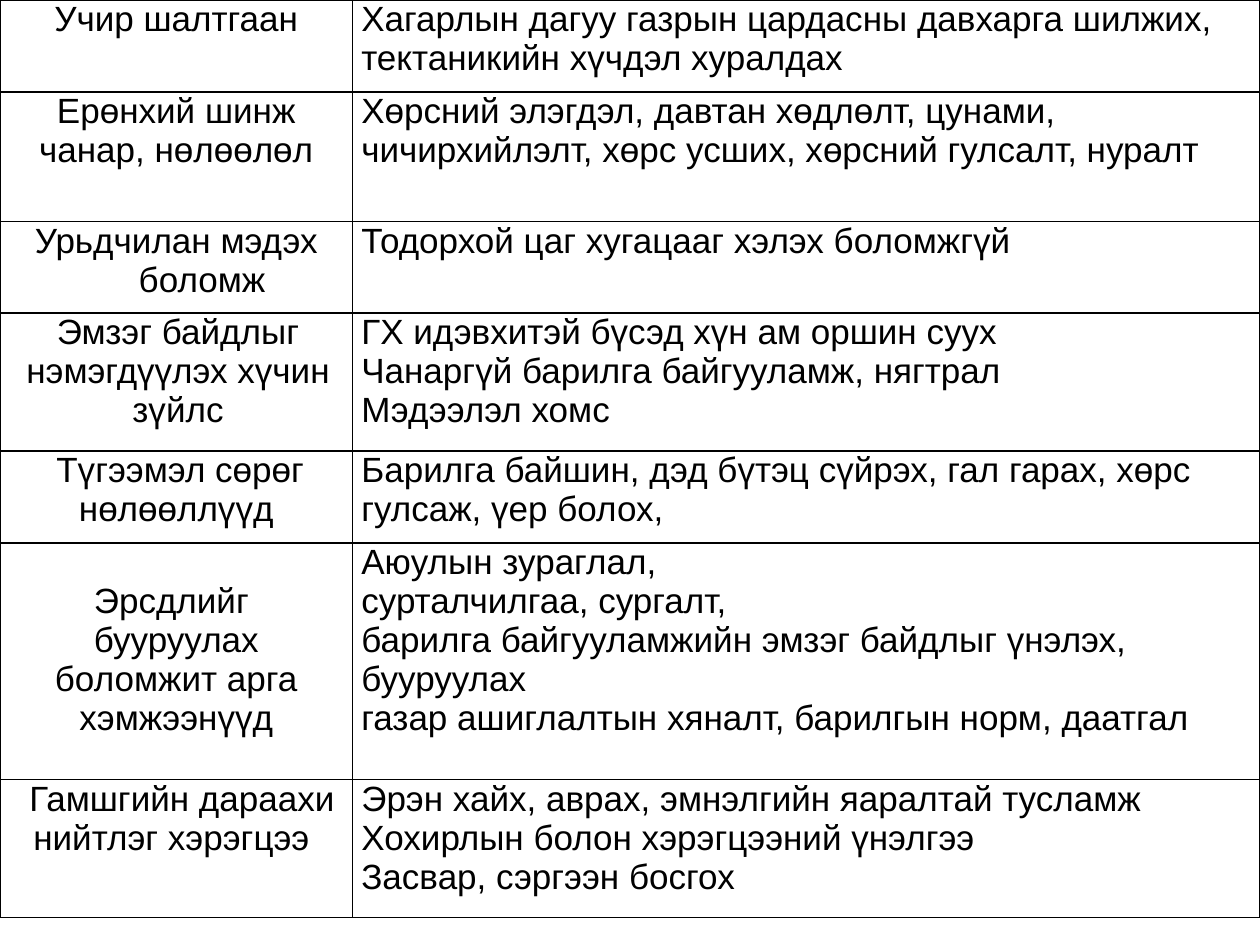
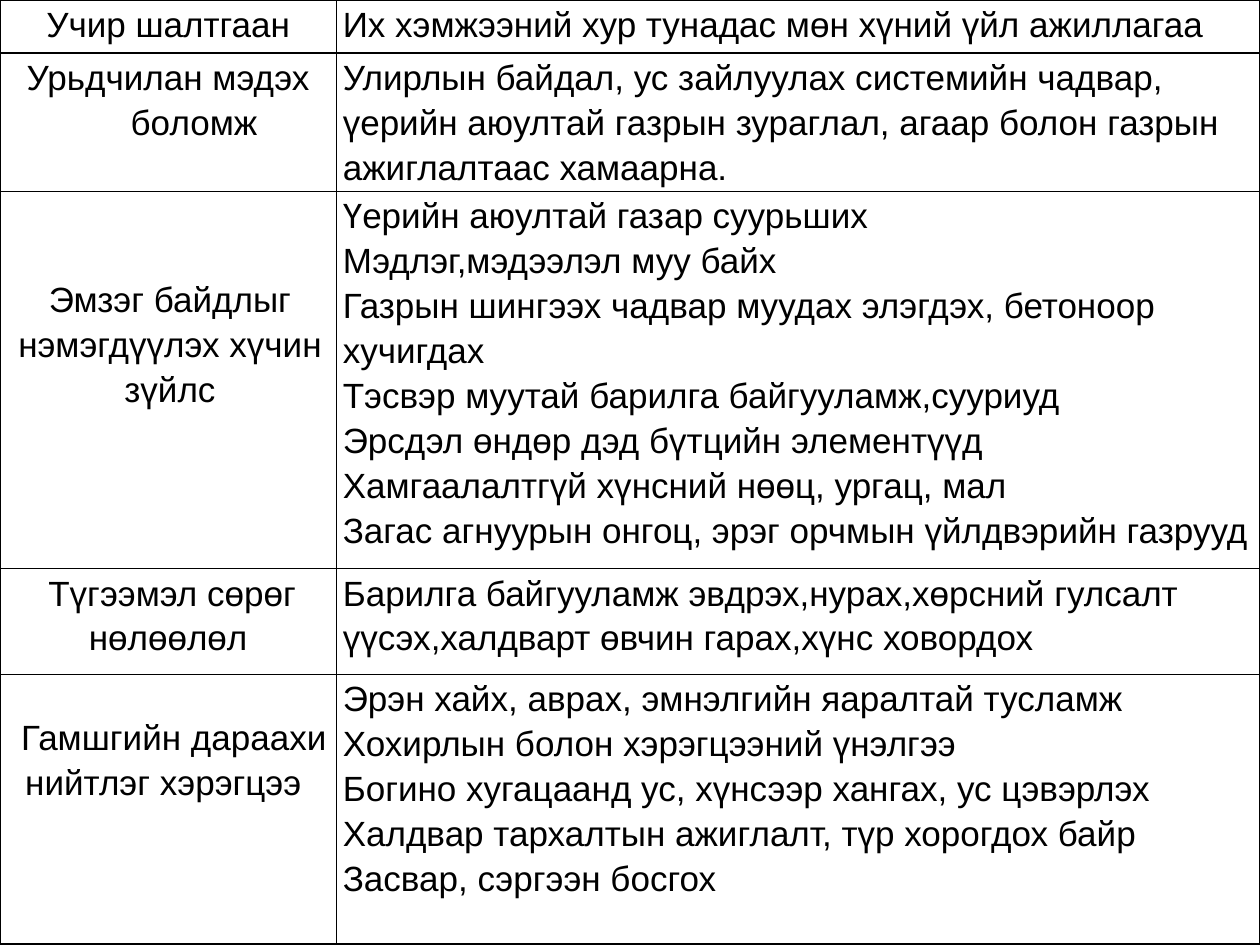
"""Two hazard overview tables: earthquake and flood."""
from dataclasses import dataclass

from lxml import etree
from pptx import Presentation
from pptx.dml.color import RGBColor
from pptx.enum.text import MSO_ANCHOR, PP_ALIGN
from pptx.oxml.ns import qn
from pptx.util import Pt

CENTER, LEFT = PP_ALIGN.CENTER, PP_ALIGN.LEFT
TOP = MSO_ANCHOR.TOP
SLIDE_WIDTH, SLIDE_HEIGHT = 720, 540
BLANK_LAYOUT = 6


@dataclass(frozen=True)
class Theme:
    """Shared colours and type."""
    ink: str = "000000"
    paper: str = "FFFFFF"
    font: str = "Arial"
    size: float = 20
    rule: float = 1


@dataclass(frozen=True)
class Indent:
    """Left margin and first-line offset of a paragraph, in points."""
    left: float = 0
    first: float = 0


@dataclass(frozen=True)
class Topic:
    """One table row: a centred label and its details."""
    height: float
    label: str
    details: tuple[str, ...]
    indent: Indent = Indent()
    label_drop: float = 0


@dataclass(frozen=True)
class Hazard:
    """One slide's table."""
    label_width: float
    side_margin: float
    line_spacing: float
    topics: tuple[Topic, ...]


THEME = Theme()
FLUSH = Indent()
HANGING = Indent(29.5, -36)
NUDGED = Indent(2, 0)
EFFECTS = Indent(0, 4.5)
NEEDS = Indent(0, 6.5)
OUTDENT = Indent(0, -2)

CAUSE = "Учир шалтгаан"
FORECAST = "Урьдчилан мэдэх боломж"
VULNERABILITY = "Эмзэг байдлыг нэмэгдүүлэх хүчин зүйлс"
AFTERMATH = "Гамшгийн дараахи нийтлэг хэрэгцээ "
RESCUE = "Эрэн хайх, аврах, эмнэлгийн яаралтай тусламж"
ASSESSMENT = "Хохирлын болон хэрэгцээний үнэлгээ"
RECOVERY = "Засвар, сэргээн босгох"

EARTHQUAKE = Hazard(201.5, 5, 1, (
    Topic(52.5, CAUSE, (
        "Хагарлын дагуу газрын цардасны давхарга шилжих, тектаникийн хүчдэл хуралдах",)),
    Topic(74, "Ерөнхий шинж чанар, нөлөөлөл", (
        "Хөрсний элэгдэл, давтан хөдлөлт, цунами, чичирхийлэлт, хөрс усших, "
        "хөрсний гулсалт, нуралт",)),
    Topic(52.5, FORECAST, ("Тодорхой цаг хугацааг хэлэх боломжгүй",), HANGING),
    Topic(78.7, VULNERABILITY, (
        "ГХ идэвхитэй бүсэд хүн ам оршин суух",
        "Чанаргүй барилга байгууламж, нягтрал",
        "Мэдээлэл хомс"), NUDGED),
    Topic(52.7, "Түгээмэл сөрөг нөлөөллүүд", (
        "Барилга байшин, дэд бүтэц сүйрэх, гал гарах, хөрс гулсаж, үер болох,",), EFFECTS),
    Topic(135.2, "Эрсдлийг \nбууруулах боломжит арга хэмжээнүүд", (
        "Аюулын зураглал,",
        "сурталчилгаа, сургалт,",
        "барилга байгууламжийн эмзэг байдлыг үнэлэх, бууруулах",
        "газар ашиглалтын хяналт, барилгын норм, даатгал"), OUTDENT, 22.3),
    Topic(78.7, AFTERMATH, (RESCUE, ASSESSMENT, RECOVERY), NEEDS),
))

FLOOD = Hazard(192.3, 3.6, 1.15, (
    Topic(30.2, CAUSE, ("Их хэмжээний хур тунадас мөн хүний үйл ажиллагаа",), HANGING),
    Topic(79.2, FORECAST, (
        "Улирлын байдал, ус зайлуулах системийн чадвар, үерийн аюултай газрын зураглал, "
        "агаар болон газрын ажиглалтаас хамаарна.",), HANGING),
    Topic(215.5, VULNERABILITY, (
        "Үерийн аюултай газар суурьших",
        "Мэдлэг,мэдээлэл муу байх",
        "Газрын шингээх чадвар муудах элэгдэх, бетоноор хучигдах",
        "Тэсвэр муутай барилга байгууламж,сууриуд",
        "Эрсдэл өндөр дэд бүтцийн элементүүд",
        "Хамгаалалтгүй хүнсний нөөц, ургац, мал",
        "Загас агнуурын онгоц, эрэг орчмын үйлдвэрийн газрууд"), NUDGED, 48),
    Topic(60.5, "Түгээмэл сөрөг нөлөөлөл", (
        "Барилга байгууламж эвдрэх,нурах,хөрсний гулсалт үүсэх,халдварт өвчин гарах,"
        "хүнс ховордох",), EFFECTS),
    Topic(154, AFTERMATH, (
        RESCUE,
        ASSESSMENT,
        "Богино хугацаанд ус, хүнсээр хангах, ус цэвэрлэх",
        "Халдвар тархалтын ажиглалт, түр хорогдох байр",
        RECOVERY), NEEDS, 22.3),
))


def rule_cell(cell) -> None:
    """Draw the four borders of a cell."""
    properties = cell._tc.get_or_add_tcPr()
    for side in ("a:lnL", "a:lnR", "a:lnT", "a:lnB"):
        line = etree.SubElement(properties, qn(side), w=str(Pt(THEME.rule)))
        fill = etree.SubElement(line, qn("a:solidFill"))
        etree.SubElement(fill, qn("a:srgbClr"), val=THEME.ink)


def write_cell(cell, text: str, hazard: Hazard, alignment: PP_ALIGN,
               indent: Indent = FLUSH, drop: float = 0) -> None:
    """Fill, border and typeset one cell."""
    rule_cell(cell)
    cell.fill.solid()
    cell.fill.fore_color.rgb = RGBColor.from_string(THEME.paper)
    cell.vertical_anchor = TOP
    cell.margin_left = cell.margin_right = Pt(hazard.side_margin)
    cell.margin_top, cell.margin_bottom = Pt(drop), Pt(0)
    cell.text_frame.text = text
    for paragraph in cell.text_frame.paragraphs:
        paragraph.alignment = alignment
        paragraph.line_spacing = hazard.line_spacing
        properties = paragraph._p.get_or_add_pPr()
        properties.set("marL", str(Pt(indent.left)))
        properties.set("indent", str(Pt(indent.first)))
        for run in paragraph.runs:
            run.font.name = THEME.font
            run.font.size = Pt(THEME.size)
            run.font.color.rgb = RGBColor.from_string(THEME.ink)


def add_hazard_slide(deck, hazard: Hazard) -> None:
    """Add a slide holding one hazard's table."""
    slide = deck.slides.add_slide(deck.slide_layouts[BLANK_LAYOUT])
    total_height = sum(topic.height for topic in hazard.topics)
    overview = slide.shapes.add_table(
        len(hazard.topics), 2, Pt(0), Pt(0), Pt(SLIDE_WIDTH), Pt(total_height)).table
    overview.first_row = overview.horz_banding = False
    overview.columns[0].width = Pt(hazard.label_width)
    overview.columns[1].width = Pt(SLIDE_WIDTH - hazard.label_width)
    for index, topic in enumerate(hazard.topics):
        overview.rows[index].height = Pt(topic.height)
        write_cell(overview.cell(index, 0), topic.label, hazard, CENTER,
                   topic.indent, topic.label_drop)
        write_cell(overview.cell(index, 1), "\n".join(topic.details), hazard, LEFT)


def main() -> None:
    """Build and save the deck."""
    deck = Presentation()
    deck.slide_width, deck.slide_height = Pt(SLIDE_WIDTH), Pt(SLIDE_HEIGHT)
    for hazard in (EARTHQUAKE, FLOOD):
        add_hazard_slide(deck, hazard)
    deck.save("out.pptx")


if __name__ == "__main__":
    main()
